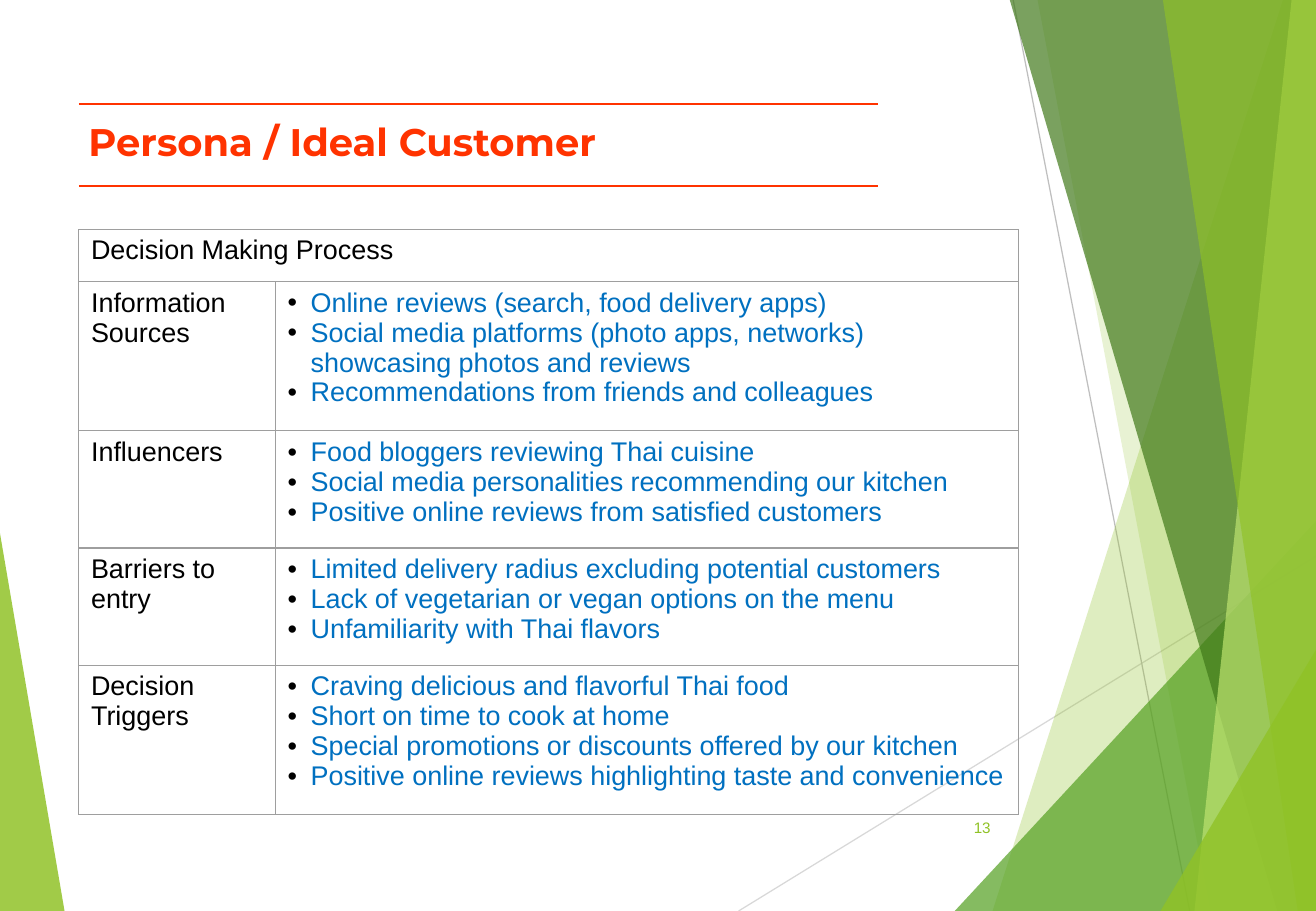
from lxml.etree import SubElement
from pptx import Presentation
from pptx.dml.color import RGBColor
from pptx.enum.shapes import MSO_CONNECTOR
from pptx.enum.text import MSO_ANCHOR, MSO_AUTO_SIZE, PP_ALIGN
from pptx.oxml import parse_xml
from pptx.oxml.ns import nsdecls, qn
from pptx.util import Cm, Pt

COLORS = {
    "title": "FF3300", "label": "000000", "answer": "0070C0", "border": "9E9E9E",
    "lime": "90C226", "green": "54A021", "forest": "3F7818", "pale": "BFE471",
    "ray": "D8D8D8", "ray_dark": "BFBFBF",
}
W, H = 27.51, 19.05
TITLE = "Persona / Ideal Customer"
HEADING = "Decision Making Process"
PAGE = "13"
PROCESS = [
    ("Information Sources", [
        "Online reviews (search, food delivery apps)",
        "Social media platforms (photo apps, networks) showcasing photos and reviews",
        "Recommendations from friends and colleagues",
    ]),
    ("Influencers", [
        "Food bloggers reviewing Thai cuisine",
        "Social media personalities recommending our kitchen",
        "Positive online reviews from satisfied customers",
    ]),
    ("Barriers to entry", [
        "Limited delivery radius excluding potential customers",
        "Lack of vegetarian or vegan options on the menu",
        "Unfamiliarity with Thai flavors",
    ]),
    ("Decision Triggers", [
        "Craving delicious and flavorful Thai food",
        "Short on time to cook at home",
        "Special promotions or discounts offered by our kitchen",
        "Positive online reviews highlighting taste and convenience",
    ]),
]
COL_WIDTHS = [4.11, 15.54]
ROW_HEIGHTS = [1.09, 3.12, 2.45, 2.45, 3.12]
LEFT = 1.65
RAYS = [
    ((15.44, H), (W, 11.63), "ray"),
    ((21.18, 0), (24.87, H), "ray_dark"),
]
RULES = [((LEFT, y), (18.36, y), "title") for y in (3.89, 2.18)]
FACETS = [
    ((0, 11.15), 1.35, 0, "lime", 84),
    ((26.82, 0), 20.75, W, "lime", 29),
    ((21.69, 0), 25.3, W, "lime", 20),
    ((W, 10.9), 19.96, W, "green", 71),
    ((21.11, 0), 26.7, W, "forest", 69),
    ((27, 0), 24.97, W, "pale", 69),
    ((24.31, 0), 27.13, W, "lime", 64),
    ((W, 13.59), 24.26, W, "lime", 80),
]


def rgb(name):
    return RGBColor.from_string(COLORS[name])


def write(p, text, color, **formats):
    r = p.add_run()
    r.text = text
    for key, value in {"size": Pt(16), "name": "Arial", **formats}.items():
        setattr(r.font, key, value)
    r.font.color.rgb = rgb(color)


def add_bullet(p):
    pPr = p._p.get_or_add_pPr()
    pPr.set("marL", str(Cm(0.48)))
    pPr.set("indent", str(-Cm(0.48)))
    clr = SubElement(pPr, qn("a:buClr"))
    SubElement(clr, qn("a:srgbClr"), val=COLORS["label"])
    SubElement(pPr, qn("a:buFont"), typeface="Arial")
    SubElement(pPr, qn("a:buChar"), char="•")


def add_line(slide, start, end, color, width):
    ln = slide.shapes.add_connector(
        MSO_CONNECTOR.STRAIGHT, *(Cm(v) for v in start + end))
    ln.line.color.rgb = rgb(color)
    ln.line.width = Pt(width)
    SubElement(ln._element.spPr, qn("a:effectLst"))


def add_facet(slide, top, bottom_x, side, color, opacity):
    points = [(bottom_x, H), (side, H), (side, top[1])]
    fb = slide.shapes.build_freeform(Cm(top[0]), Cm(top[1]))
    fb.add_line_segments([(Cm(x), Cm(y)) for x, y in points], close=True)
    sp = fb.convert_to_shape()
    sp.shadow.inherit = False
    sp.line.fill.background()
    sp.fill.solid()
    sp.fill.fore_color.rgb = rgb(color)
    clr = sp._element.spPr.find(qn("a:solidFill"))[0]
    SubElement(clr, qn("a:alpha"), val=str(opacity * 1000))


def set_frame(tf, margins, **formats):
    x, y = margins
    base = {"margin_left": Cm(x), "margin_right": Cm(x), "margin_top": Cm(y),
            "margin_bottom": Cm(y), "word_wrap": True}
    for key, value in {**base, **formats}.items():
        setattr(tf, key, value)


def add_process(slide):
    tbl = slide.shapes.add_table(
        len(ROW_HEIGHTS), len(COL_WIDTHS), Cm(LEFT), Cm(4.8),
        Cm(sum(COL_WIDTHS)), Cm(sum(ROW_HEIGHTS))).table
    tbl.first_row = tbl.horz_banding = False
    for col, width in zip(tbl.columns, COL_WIDTHS):
        col.width = Cm(width)
    for row, height in zip(tbl.rows, ROW_HEIGHTS):
        row.height = Cm(height)
    for cell in tbl.iter_cells():
        set_frame(cell.text_frame, (0.2, 0.2))
        tcPr = cell._tc.get_or_add_tcPr()
        for side in "LRTB":
            tcPr.append(parse_xml(
                f'<a:ln{side} {nsdecls("a")} w="{Pt(0.75)}"><a:solidFill>'
                f'<a:srgbClr val="{COLORS["border"]}"/></a:solidFill></a:ln{side}>'))
        cell.fill.background()
    tbl.cell(0, 0).merge(tbl.cell(0, 1))
    write(tbl.cell(0, 0).text_frame.paragraphs[0], HEADING, "label")
    for i, (label, answers) in enumerate(PROCESS, 1):
        write(tbl.cell(i, 0).text_frame.paragraphs[0], label, "label")
        tf = tbl.cell(i, 1).text_frame
        for j, answer in enumerate(answers):
            p = tf.add_paragraph() if j else tf.paragraphs[0]
            add_bullet(p)
            write(p, answer, "answer")


def main():
    prs = Presentation()
    prs.slide_width, prs.slide_height = Cm(W), Cm(H)
    slide = prs.slides.add_slide(prs.slide_layouts[5])

    title = slide.shapes.title
    box = {"left": LEFT, "top": 2.36, "width": 18.34, "height": 1.17}
    for key, value in box.items():
        setattr(title, key, Cm(value))
    set_frame(title.text_frame, (0.2, 0.1), vertical_anchor=MSO_ANCHOR.TOP,
              auto_size=MSO_AUTO_SIZE.NONE)
    p = title.text_frame.paragraphs[0]
    p.alignment = PP_ALIGN.LEFT
    write(p, TITLE, "title", size=Pt(22.8), name="Montserrat", bold=True)

    add_facet(slide, *FACETS[0])
    for ray in RAYS:
        add_line(slide, *ray, 0.75)
    for facet in FACETS[1:]:
        add_facet(slide, *facet)
    for rule in RULES:
        add_line(slide, *rule, 1)
    add_process(slide)

    page = slide.shapes.add_textbox(Cm(19.41), Cm(16.79), Cm(1.55), Cm(1.02))
    set_frame(page.text_frame, (0.25, 0.13), vertical_anchor=MSO_ANCHOR.MIDDLE)
    p = page.text_frame.paragraphs[0]
    p.alignment = PP_ALIGN.RIGHT
    write(p, PAGE, "lime", size=Pt(9))

    prs.save("out.pptx")


if __name__ == "__main__":
    main()
